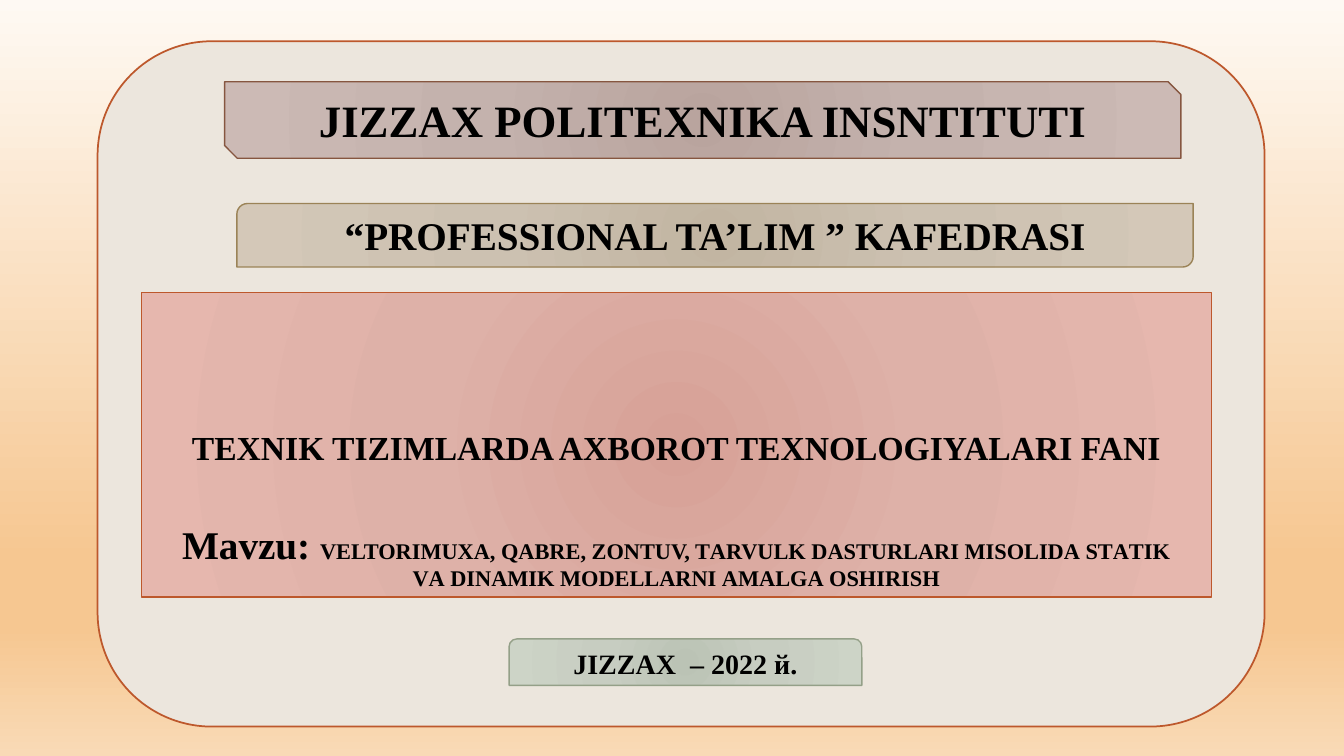
from pptx import Presentation, oxml
from pptx import util as u
from pptx.dml import color
from pptx.enum import shapes, text
from pptx.oxml import ns

THEME = {
    "font": "Times New Roman",
    "ink": "000000",
    "accent": "BD582C",
    "frame": "ECE6DD",
    "sky": [(0, "FEF9F3"), (74, "F6C791"), (83, "F6C791"), (100, "F9DAB6")],
    "rose": [(0, "D7A197"), (45, "DEB1A8"), (100, "E6B7AE")],
    "mauve": [(0, "B9A49E"), (45, "C4B2AD"), (100, "CCBAB5")],
    "sand": [(0, "C2B5A2"), (45, "CCC1B1"), (100, "D4C8B8")],
    "sage": [(0, "BBC3B5"), (45, "C7CDC1"), (100, "CDD4C7")],
    "institute": 32, "department": 28, "label": 28,
    "subject": 24, "year": 20, "topic": 16,
}
LINEAR = '<a:lin ang="5400000" scaled="0"/>'
RADIAL = ('<a:path path="circle"><a:fillToRect l="100000" t="100000" '
          'r="100000" b="100000"/></a:path>')


def set_gradient(fill, parent, stops, direction):
    """Give a fill any number of colour stops."""
    fill.background()
    marks = "".join(f'<a:gs pos="{place * 1000}"><a:srgbClr val="{shade}"/></a:gs>'
                    for place, shade in stops)
    gradient = oxml.parse_xml(f'<a:gradFill {ns.nsdecls("a")} rotWithShape="1">'
                              f'<a:gsLst>{marks}</a:gsLst>{direction}</a:gradFill>')
    parent.replace(parent.find(ns.qn("a:noFill")), gradient)


def add_run(paragraph, wording, size):
    run = paragraph.add_run()
    run.text = wording
    run.font.name = THEME["font"]
    run.font.size = u.Pt(THEME[size])
    run.font.bold = True
    run.font.color.rgb = color.RGBColor.from_string(THEME["ink"])


presentation = Presentation()
presentation.slide_width, presentation.slide_height = u.Cm(33.87), u.Cm(19.05)
slide = presentation.slides.add_slide(presentation.slide_layouts[5])

# Background
background = slide.background.fill
background.solid()
set_gradient(background, slide.element.xpath(".//p:bgPr")[0], THEME["sky"], LINEAR)

# Large frame, behind the title
frame = slide.shapes.add_shape(shapes.MSO_SHAPE.ROUNDED_RECTANGLE,
                               u.Cm(2.46), u.Cm(1.04), u.Cm(29.41), u.Cm(17.27))
frame.shadow.inherit = False
frame.fill.solid()
frame.fill.fore_color.rgb = color.RGBColor.from_string(THEME["frame"])
frame.line.color.rgb = color.RGBColor.from_string(THEME["accent"])
frame.line.width = u.Pt(1.25)
title = slide.shapes.title
title._element.addprevious(frame._element)

# Title panel: subject and topic
title.left, title.top, title.width, title.height = (
    u.Cm(3.56), u.Cm(7.37), u.Cm(26.97), u.Cm(7.67))
title._element.spPr.insert(1, oxml.parse_xml(
    f'<a:prstGeom {ns.nsdecls("a")} prst="roundRect"><a:avLst/></a:prstGeom>'))
set_gradient(title.fill, title._element.spPr, THEME["rose"], RADIAL)
title.line.color.rgb = color.RGBColor.from_string(THEME["accent"])
title.line.width = u.Pt(1)
title_frame = title.text_frame
title_frame.word_wrap = True
title_frame.auto_size = text.MSO_AUTO_SIZE.NONE
title_frame.vertical_anchor = text.MSO_ANCHOR.BOTTOM

subject = title_frame.paragraphs[0]
add_run(subject, "TEXNIK TIZIMLARDA AXBOROT TEXNOLOGIYALARI FANI", "subject")
topic = title_frame.add_paragraph()
topic.space_before = u.Pt(41)
add_run(topic, "Mavzu: ", "label")
add_run(topic, "VELTORIMUXА, QАBRE, ZОNTUV, TАRVULK DАSTURLАRI MISОLIDА STАTIK", "topic")
topic.add_line_break()
add_run(topic, "VА DINАMIK MОDELLАRNI АMАLGА ОSHIRISH", "topic")
for paragraph in (subject, topic):
    paragraph.alignment = text.PP_ALIGN.CENTER
    paragraph.line_spacing = 0.9

# Banners: preset, left, top, width, height, stops, line, wording, size
BANNERS = [
    (shapes.MSO_SHAPE.SNIP_2_DIAG_RECTANGLE, 5.66, 2.06, 24.1, 1.93,
     "mauve", "865640", "JIZZAX POLITEXNIKA INSNTITUTI", "institute"),
    (shapes.MSO_SHAPE.ROUND_2_DIAG_RECTANGLE, 5.97, 5.13, 24.1, 1.6,
     "sand", "9B8357", "“PROFESSIONAL TA’LIM ” KAFEDRASI", "department"),
    (shapes.MSO_SHAPE.ROUND_2_SAME_RECTANGLE, 12.83, 16.1, 8.89, 1.17,
     "sage", "94A088", "JIZZAX  – 2022 й.", "year"),
]
for preset, left, top, width, height, stops, outline, wording, size in BANNERS:
    banner = slide.shapes.add_shape(preset, u.Cm(left), u.Cm(top),
                                    u.Cm(width), u.Cm(height))
    banner.shadow.inherit = False
    set_gradient(banner.fill, banner._element.spPr, THEME[stops], RADIAL)
    banner.line.color.rgb = color.RGBColor.from_string(outline)
    banner.line.width = u.Pt(1)
    banner.text_frame.word_wrap = True
    banner.text_frame.auto_size = text.MSO_AUTO_SIZE.SHAPE_TO_FIT_TEXT
    banner.text_frame.vertical_anchor = text.MSO_ANCHOR.MIDDLE
    paragraph = banner.text_frame.paragraphs[0]
    paragraph.alignment = text.PP_ALIGN.CENTER
    add_run(paragraph, wording, size)

presentation.save("out.pptx")
